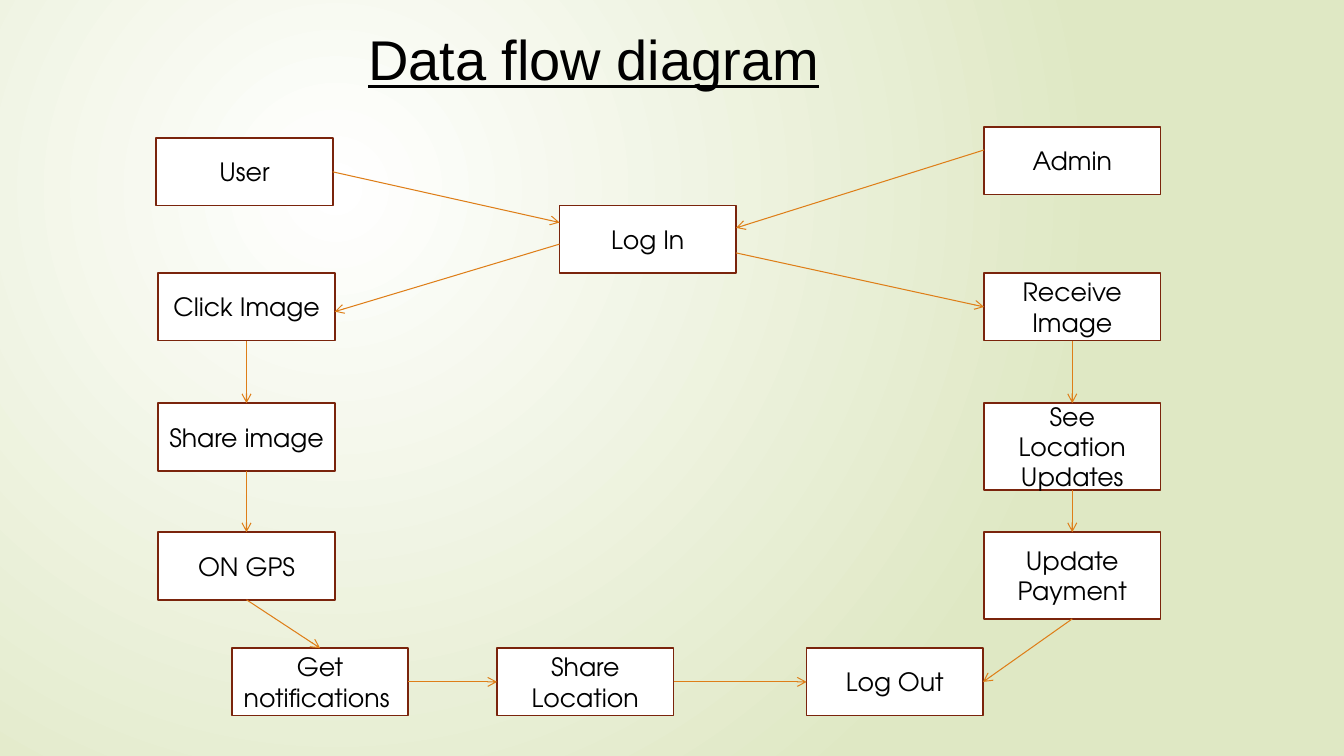
import pptx
import pptx.util
import pptx.dml.color
import pptx.enum.shapes
import pptx.enum.text
import pptx.oxml
import pptx.oxml.ns

TITLE = "Data flow diagram"
WIDTH, HEIGHT = 13.33, 7.5
BOX_W, BOX_H, TALL_H = 1.75, 0.67, 0.86
LEFT, MIDDLE, RIGHT = 1.57, 5.55, 9.76
ROWS = [1.37, 2.71, 4.0, 5.28, 6.43]
BOXES = {
    "User": (LEFT - 0.02, ROWS[0], BOX_H),
    "Admin": (RIGHT, ROWS[0] - 0.11, BOX_H),
    "Log In": (MIDDLE, ROWS[0] + BOX_H, BOX_H),
    "Click Image": (LEFT, ROWS[1], BOX_H),
    "Receive Image": (RIGHT, ROWS[1], BOX_H),
    "Share image ": (LEFT, ROWS[2], BOX_H),
    "See Location Updates": (RIGHT, ROWS[2], TALL_H),
    "ON GPS": (LEFT, ROWS[3], BOX_H),
    "Update Payment": (RIGHT, ROWS[3], TALL_H),
    "Get notifications ": (2.3, ROWS[4], BOX_H),
    "Share Location": (4.93, ROWS[4], BOX_H),
    "Log Out": (8.0, ROWS[4], BOX_H),
}
TOP_SIDE, LEFT_SIDE, BOTTOM_SIDE, RIGHT_SIDE = range(4)
MID = 0.5
FLOWS = [
    ("User", RIGHT_SIDE, MID, "Log In", LEFT_SIDE, 0.25),
    ("Log In", LEFT_SIDE, 0.57, "Click Image", RIGHT_SIDE, 0.57),
    ("Admin", LEFT_SIDE, 0.34, "Log In", RIGHT_SIDE, 0.33),
    ("Log In", RIGHT_SIDE, 0.7, "Receive Image", LEFT_SIDE, MID),
    ("Click Image", BOTTOM_SIDE, MID, "Share image ", TOP_SIDE, MID),
    ("Share image ", BOTTOM_SIDE, MID, "ON GPS", TOP_SIDE, MID),
    ("Receive Image", BOTTOM_SIDE, MID, "See Location Updates", TOP_SIDE, MID),
    ("See Location Updates", BOTTOM_SIDE, MID, "Update Payment", TOP_SIDE, MID),
    ("ON GPS", BOTTOM_SIDE, MID, "Get notifications ", TOP_SIDE, MID),
    ("Get notifications ", RIGHT_SIDE, MID, "Share Location", LEFT_SIDE, MID),
    ("Share Location", RIGHT_SIDE, MID, "Log Out", LEFT_SIDE, MID),
    ("Update Payment", BOTTOM_SIDE, MID, "Log Out", RIGHT_SIDE, MID),
]
BACKGROUND = """<p:bg %s><p:bgPr><a:gradFill rotWithShape="1"><a:gsLst>
<a:gs pos="0"><a:srgbClr val="FFFFFF"/></a:gs>
<a:gs pos="100000"><a:srgbClr val="DFE8C4"/></a:gs></a:gsLst>
<a:path path="circle"><a:fillToRect l="50000" t="50000" r="100000" b="100000"/></a:path>
</a:gradFill><a:effectLst/></p:bgPr></p:bg>""" % pptx.oxml.ns.nsdecls("p", "a")

inch = pptx.util.Inches


def color(value):
    return pptx.dml.color.RGBColor.from_string(value)


def write(tf, text, font, size, align, anchor):
    tf.text = text
    tf.word_wrap = True
    tf.vertical_anchor = anchor
    p = tf.paragraphs[0]
    p.alignment = align
    r = p.runs[0]
    r.font.name = font
    r.font.size = pptx.util.Pt(size)
    r.font.color.rgb = color("000000")
    return r


def add_box(slide, name):
    x, y, h = BOXES[name]
    sp = slide.shapes.add_shape(pptx.enum.shapes.MSO_SHAPE.RECTANGLE,
                                inch(x), inch(y), inch(BOX_W), inch(h))
    sp.shadow.inherit = False
    sp.fill.solid()
    sp.fill.fore_color.rgb = color("FFFFFF")
    sp.line.color.rgb = color("7A240C")
    sp.line.width = pptx.util.Pt(1.25)
    write(sp.text_frame, name, "TeX Gyre Adventor", 18,
          pptx.enum.text.PP_ALIGN.CENTER, pptx.enum.text.MSO_ANCHOR.MIDDLE)
    return sp


def point(name, side, share):
    x, y, h = BOXES[name]
    if side in (TOP_SIDE, BOTTOM_SIDE):
        return inch(x + share * BOX_W), inch(y + (h if side == BOTTOM_SIDE else 0))
    return inch(x + (BOX_W if side == RIGHT_SIDE else 0)), inch(y + share * h)


def add_flow(slide, shapes, start, start_side, start_share, end, end_side, end_share):
    line = slide.shapes.add_connector(pptx.enum.shapes.MSO_CONNECTOR.STRAIGHT,
                                      *point(start, start_side, start_share),
                                      *point(end, end_side, end_share))
    if start_share == MID:
        line.begin_connect(shapes[start], start_side)
    if end_share == MID:
        line.end_connect(shapes[end], end_side)
    line.line.color.rgb = color("DE7E18")
    line.line.width = pptx.util.Pt(0.75)
    ns = pptx.oxml.ns.nsdecls("a")
    line.line._get_or_add_ln().append(pptx.oxml.parse_xml(f'<a:tailEnd {ns} type="arrow"/>'))
    line._element.spPr.append(pptx.oxml.parse_xml(f"<a:effectLst {ns}/>"))


def main():
    prs = pptx.Presentation()
    prs.slide_width, prs.slide_height = inch(WIDTH), inch(HEIGHT)
    slide = prs.slides.add_slide(prs.slide_layouts[5])
    slide._element.cSld.insert(0, pptx.oxml.parse_xml(BACKGROUND))

    title = slide.shapes.title
    title.left, title.top, title.width, title.height = map(inch, (3.55, 0.13, 6.25, 1))
    r = write(title.text_frame, TITLE, "Arial", 40,
              pptx.enum.text.PP_ALIGN.LEFT, pptx.enum.text.MSO_ANCHOR.TOP)
    r.font.underline = True
    title.text_frame.margin_top = inch(0.11)

    shapes = {name: add_box(slide, name) for name in BOXES}
    for flow in FLOWS:
        add_flow(slide, shapes, *flow)
    prs.save("out.pptx")


if __name__ == "__main__":
    main()
